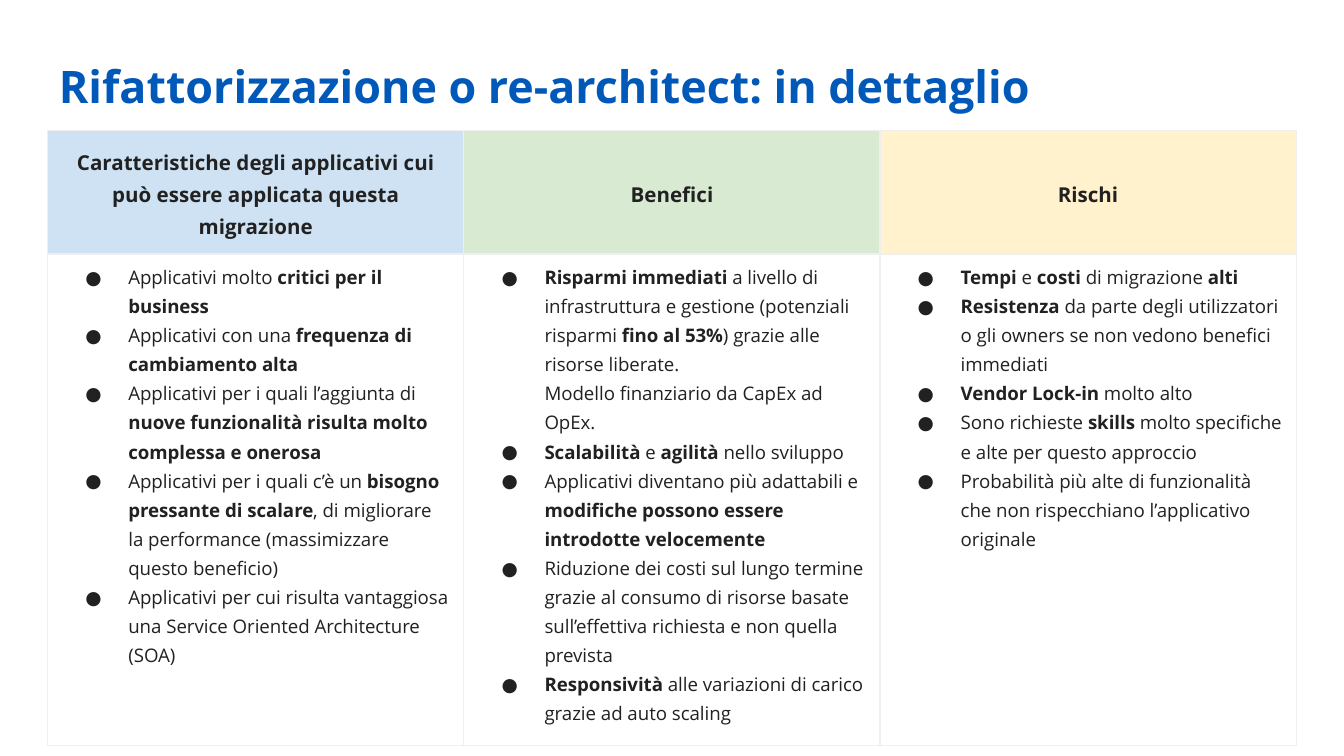
from dataclasses import dataclass

from lxml import etree
from pptx import Presentation, util as u
from pptx.dml.color import RGBColor
from pptx.enum import text as t
from pptx.oxml.ns import qn


@dataclass(frozen=True)
class Theme:
    """Colours, font and type sizes."""
    face: str = "Open Sans"
    title: str = "0058B9"
    ink: str = "212121"
    rule: str = "EFEFEF"
    heads: tuple = ("CFE2F3", "D9EAD3", "FFF2CC")
    big: int = 24
    mid: int = 11
    small: int = 10


class Deck:
    """Holds the style and the current slide."""

    def __init__(self, theme, wide, high):
        self.theme = theme
        self.prs = Presentation()
        self.prs.slide_width = u.Inches(wide)
        self.prs.slide_height = u.Inches(high)
        self.slide = self.prs.slides.add_slide(self.prs.slide_layouts[6])

    def place(self, x, y, w, h):
        wide, high = self.prs.slide_width, self.prs.slide_height
        return [round(n) for n in (x * wide, y * high, w * wide, h * high)]

    def style(self, para, size, color, bold=None):
        font = para.font
        font.name, font.size, font.bold = self.theme.face, u.Pt(size), bold
        font.color.rgb = RGBColor.from_string(color)

    def title(self, words, *box):
        frame = self.slide.shapes.add_textbox(*self.place(*box)).text_frame
        frame.word_wrap = True
        frame.margin_top = frame.margin_bottom = u.Inches(0.1)
        para = frame.paragraphs[0]
        para.text = words
        self.style(para, self.theme.big, self.theme.title, True)

    def border(self, cell):
        props = cell._tc.get_or_add_tcPr()
        for side in ("lnL", "lnR", "lnT", "lnB"):
            line = etree.SubElement(props, qn("a:" + side), w=str(u.Pt(0.74)))
            fill = etree.SubElement(line, qn("a:solidFill"))
            etree.SubElement(fill, qn("a:srgbClr"), val=self.theme.rule)

    def head(self, cell, words, color):
        self.border(cell)
        cell.fill.solid()
        cell.fill.fore_color.rgb = RGBColor.from_string(color)
        cell.vertical_anchor = t.MSO_ANCHOR.MIDDLE
        para = cell.text_frame.paragraphs[0]
        para.text = words
        para.alignment = t.PP_ALIGN.CENTER
        para.line_spacing = 1.15
        self.style(para, self.theme.mid, self.theme.ink, True)

    def bullet(self, para, words):
        para.line_spacing = 1.15
        props = para._p.get_or_add_pPr()
        props.set("marL", str(u.Inches(0.5)))
        props.set("indent", str(u.Inches(-0.32)))
        tint = etree.SubElement(props, qn("a:buClr"))
        etree.SubElement(tint, qn("a:srgbClr"), val=self.theme.ink)
        etree.SubElement(props, qn("a:buSzPts"), val=str(self.theme.small * 100))
        etree.SubElement(props, qn("a:buFont"), typeface=self.theme.face)
        etree.SubElement(props, qn("a:buChar"), char="●")
        self.style(para, self.theme.small, self.theme.ink)
        for i, part in enumerate(words.split("**")):
            for j, line in enumerate(part.split("\n")):
                if j:
                    para.add_line_break()
                if line:
                    run = para.add_run()
                    run.text, run.font.bold = line, i % 2 == 1

    def body(self, cell, items):
        self.border(cell)
        cell.fill.background()
        frame = cell.text_frame
        for i, words in enumerate(items):
            self.bullet(frame.add_paragraph() if i else frame.paragraphs[0], words)

    def table(self, cols, rows, *box):
        grid = self.slide.shapes.add_table(2, len(cols), *self.place(*box)).table
        grid.first_row = grid.horz_banding = False
        for row, high in zip(grid.rows, rows):
            row.height = round(high * self.prs.slide_height)
        for i, (name, items) in enumerate(cols.items()):
            self.head(grid.cell(0, i), name, self.theme.heads[i])
            self.body(grid.cell(1, i), items)


COLS = {
    "Caratteristiche degli applicativi cui può essere applicata questa migrazione": [
        "Applicativi molto **critici per il business**",
        "Applicativi con una **frequenza di cambiamento alta**",
        "Applicativi per i quali l’aggiunta di **nuove funzionalità risulta molto "
        "complessa e onerosa**",
        "Applicativi per i quali c’è un **bisogno pressante di scalare**, di migliorare "
        "la performance (massimizzare questo beneficio)",
        "Applicativi per cui risulta vantaggiosa una Service Oriented Architecture (SOA)",
    ],
    "Benefici": [
        "**Risparmi immediati** a livello di infrastruttura e gestione (potenziali "
        "risparmi **fino al 53%**) grazie alle risorse liberate. \n"
        "Modello finanziario da CapEx ad OpEx.",
        "**Scalabilità** e **agilità** nello sviluppo ",
        "Applicativi diventano più adattabili e **modifiche possono essere introdotte "
        "velocemente**",
        "Riduzione dei costi sul lungo termine grazie al consumo di risorse basate "
        "sull’effettiva richiesta e non quella prevista",
        "**Responsività** alle variazioni di carico grazie ad auto scaling",
    ],
    "Rischi": [
        "**Tempi** e **costi** di migrazione **alti **",
        "**Resistenza** da parte degli utilizzatori o gli owners se non vedono benefici "
        "immediati",
        "**Vendor Lock-in** molto alto",
        "Sono richieste **skills** molto specifiche e alte per questo approccio",
        "Probabilità più alte di funzionalità che non rispecchiano l’applicativo originale",
    ],
}

WIDE = 10
HIGH = WIDE * 9 / 16
SPAN = 9.29 / WIDE
HEAD, BODY = 0.92 / HIGH, 3.66 / HIGH
deck = Deck(Theme(), WIDE, HIGH)
deck.title("Rifattorizzazione o re-architect: in dettaglio",
           0.034, 0.34 / HIGH, 0.932, 0.63 / HIGH)
deck.table(COLS, (HEAD, BODY), (1 - SPAN) / 2, 0.97 / HIGH, SPAN, HEAD + BODY)
deck.prs.save("out.pptx")
